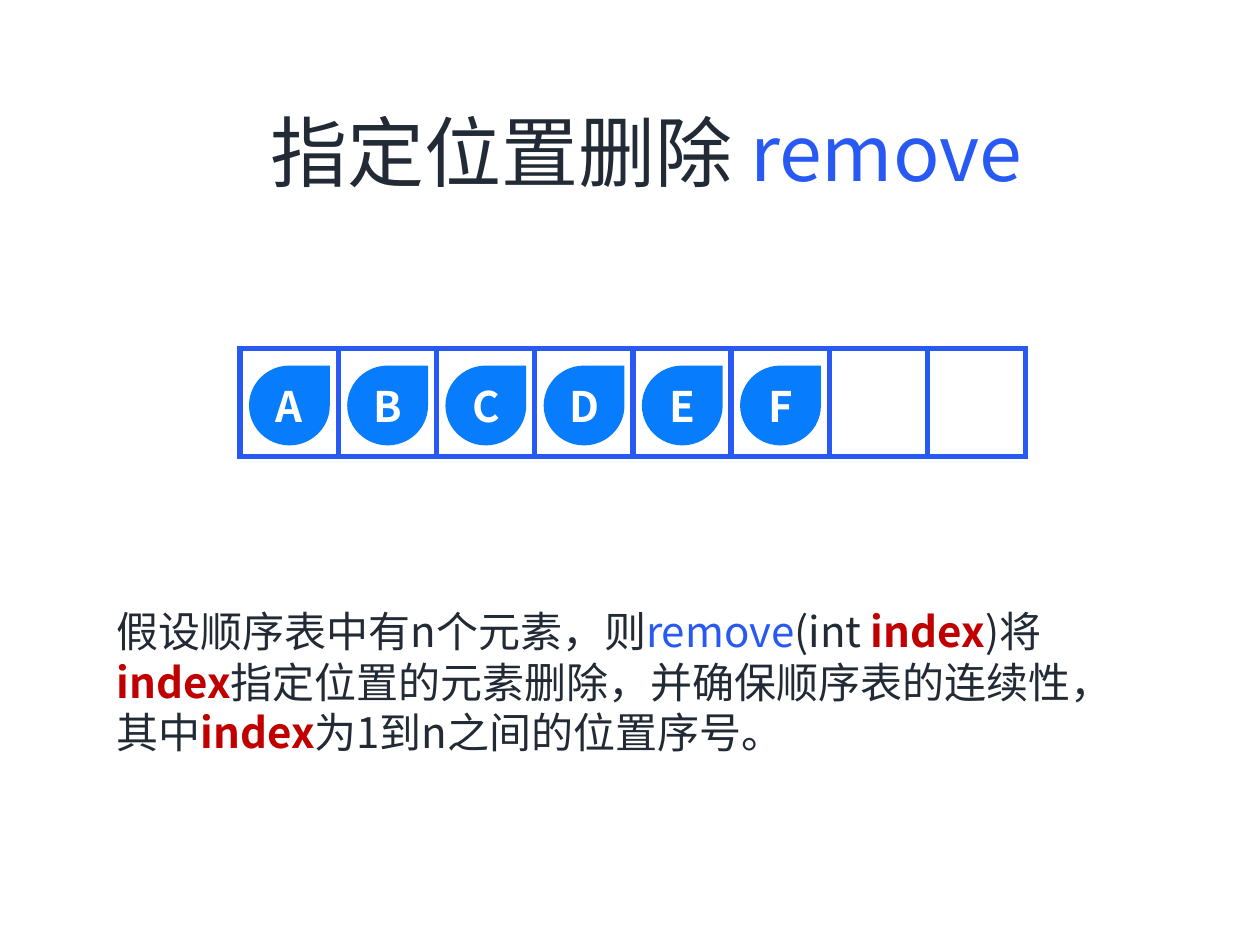
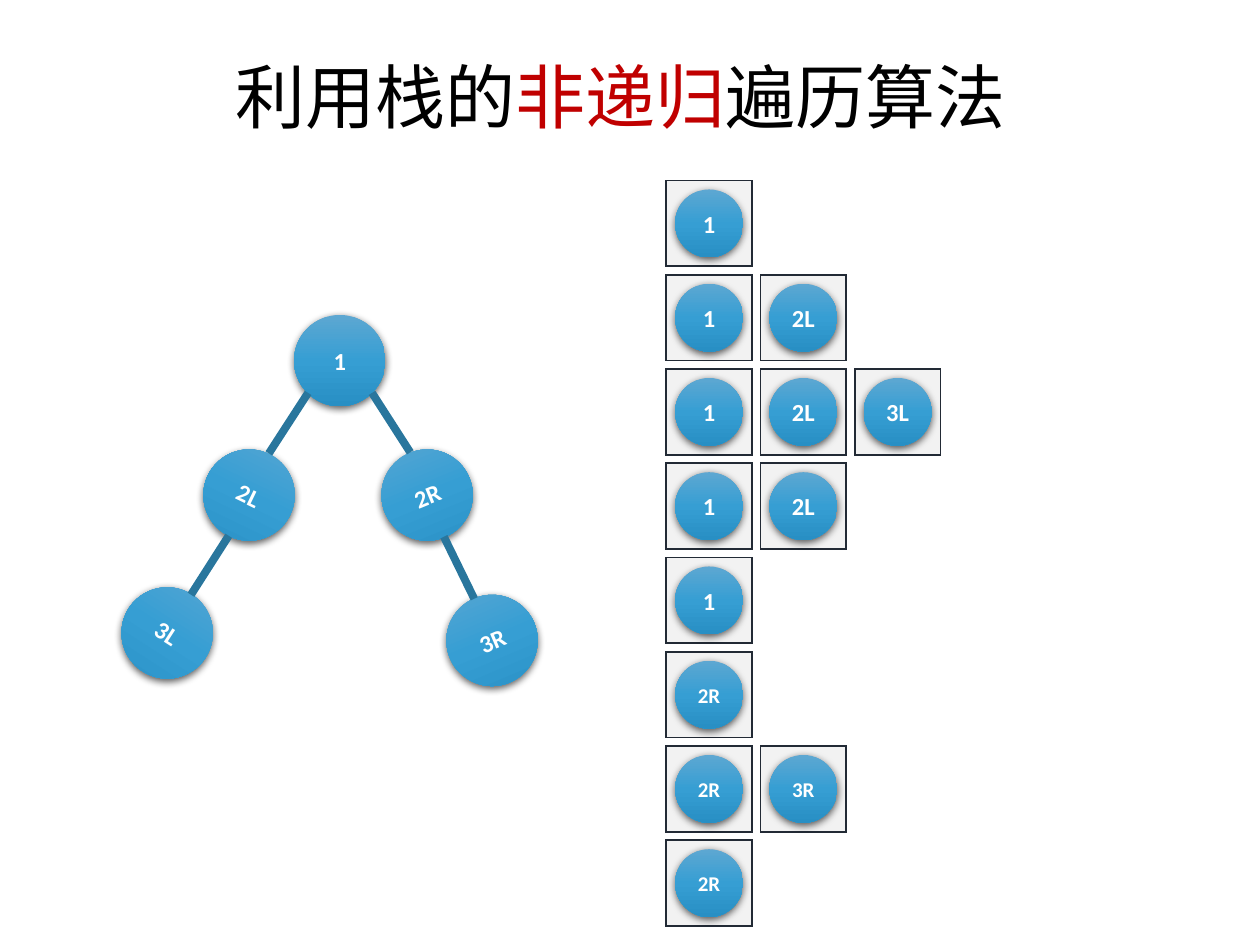
from lxml.etree import SubElement
from pptx import Presentation
from pptx.dml.color import RGBColor
from pptx.enum.shapes import MSO_CONNECTOR, MSO_SHAPE
from pptx.enum.text import MSO_ANCHOR, PP_ALIGN
from pptx.oxml.ns import qn
from pptx.util import Cm, Pt

CJK, LATIN = "Noto Sans CJK JP", "Calibri"
INK, BLUE, RED, WHITE, BLACK = "222A35", "2959F3", "C00000", "FFFFFF", "000000"
DROP, EDGE, CELL = "077CFD", "29769D", "F2F2F2"
BALL_STOPS = ((0, "5DA7D2"), (50, "369ED3"), (100, "288FC4"))


def rgb(value):
    """Turn a hex string into a colour."""
    return RGBColor.from_string(value)


def add_run(p, text, color, size, name=CJK, bold=False):
    """Append a formatted run, using one font for all scripts."""
    r = p.add_run()
    r.text = text
    for key, value in {"size": Pt(size), "name": name, "bold": bold}.items():
        setattr(r.font, key, value)
    r.font.color.rgb = rgb(color)
    SubElement(r._r.get_or_add_rPr(), qn("a:ea")).set("typeface", name)


def add_text(s, box, runs, size, align, spacing=1.0):
    """Add a one-paragraph text box of coloured runs."""
    tf = s.shapes.add_textbox(*map(Cm, box)).text_frame
    tf.word_wrap = True
    p = tf.paragraphs[0]
    p.alignment, p.line_spacing = align, spacing
    for text, color, *bold in runs:
        add_run(p, text, color, size, bold=bool(bold))


def add_box(s, kind, box, fill, line, width):
    """Add a flat preset shape with sharp corners; None leaves out fill or line."""
    sp = s.shapes.add_shape(kind, *map(Cm, box))
    sp.shadow.inherit = False
    for fmt, color in ((sp.fill, fill), (sp.line.fill, line)):
        if color:
            fmt.solid()
            fmt.fore_color.rgb = rgb(color)
        else:
            fmt.background()
    if line:
        sp.line.width = Pt(width)
        SubElement(sp._element.spPr.find(qn("a:ln")), qn("a:miter"), lim="800000")
    return sp


def add_label(sp, text, size, name):
    """Centre a bold white label in a shape."""
    tf = sp.text_frame
    values = {"margin_left": 0, "margin_right": 0, "margin_top": 0, "margin_bottom": 0,
              "word_wrap": False, "vertical_anchor": MSO_ANCHOR.MIDDLE}
    for key, value in values.items():
        setattr(tf, key, value)
    tf.paragraphs[0].alignment = PP_ALIGN.CENTER
    add_run(tf.paragraphs[0], text, WHITE, size, name, True)


def add_ball(s, x, y, d, text, size=14, turn=0):
    """Add a shaded ball with a soft shadow and a label."""
    sp = add_box(s, MSO_SHAPE.OVAL, (x, y, d, d), None, None, 0)
    sp.rotation = turn
    sp.fill.gradient()
    sp.fill.gradient_angle = 270
    spPr = sp._element.spPr
    stops = spPr.find(qn("a:gradFill")).find(qn("a:gsLst"))
    stops.clear()
    for pos, color in BALL_STOPS:
        gs = SubElement(stops, qn("a:gs"), pos=str(pos * 1000))
        SubElement(gs, qn("a:srgbClr"), val=color)
    shadow = SubElement(spPr.find(qn("a:effectLst")), qn("a:outerShdw"),
                        blurRad=str(Pt(4.5)), dist=str(Pt(1.5)), dir="5400000", rotWithShape="0")
    color = SubElement(shadow, qn("a:srgbClr"), val=BLACK)
    SubElement(color, qn("a:alpha"), val="63000")
    add_label(sp, text, size, LATIN)


def add_array(s, x, y, labels, count):
    """Draw a row of cells, the first ones holding labelled drops."""
    w, h = 1.98, 2.18
    for i, label in enumerate(labels):
        sp = add_box(s, MSO_SHAPE.TEAR, (x + i * w + 0.26, y + 0.43, 1.47, 1.45), DROP, DROP, 4.5)
        add_label(sp, label, 24, CJK)
    for i in range(count):
        add_box(s, MSO_SHAPE.RECTANGLE, (x + i * w, y, w, h), None, BLUE, 3)


def add_tree(s, x, y):
    """Draw the binary tree from its top left corner."""
    nodes = (("1", 3.48, 0, 0), ("2L", 1.65, 2.71, 25.8), ("2R", 5.24, 2.71, 337.8),
             ("3L", 0, 5.49, 32.8), ("3R", 6.55, 5.64, 337))
    edges = ((3.76, 1.57, 2.97, 2.79), (5.05, 1.57, 5.82, 2.77),
             (2.16, 4.45, 1.4, 5.64), (6.5, 4.47, 7.11, 5.72))
    for label, dx, dy, turn in nodes:
        add_ball(s, x + dx, y + dy, 1.84, label, turn=turn)
    for x1, y1, x2, y2 in edges:
        ends = (x + x1, y + y1, x + x2, y + y2)
        c = s.shapes.add_connector(MSO_CONNECTOR.STRAIGHT, *map(Cm, ends))
        c.line.color.rgb = rgb(EDGE)
        c.line.width = Pt(4.5)
        SubElement(c._element.spPr, qn("a:effectLst"))


def add_stacks(s, x, y, states):
    """Draw one row of cells for each state of the stack."""
    side, pitch, pad = 1.73, 1.9, 0.18
    for row, state in enumerate(states):
        for col, label in enumerate(state.split()):
            left, top = x + col * pitch, y + row * pitch
            add_box(s, MSO_SHAPE.RECTANGLE, (left, top, side, side), CELL, INK, 1)
            size = 12 if label.endswith("R") else 14
            add_ball(s, left + pad, top + pad, side - 2 * pad, label, size)


def remove_slide(s):
    """Show removal at a given position of a sequential list."""
    title = (("指定位置删除 ", INK), ("remove", BLUE))
    add_text(s, (2.63, 1.98, 20.8, 2.13), title, 44, PP_ALIGN.CENTER)
    add_array(s, 4.84, 7.02, "ABCDEF", 8)
    index = ("index", RED, True)
    body = (("假设顺序表中有n个元素，则", INK), ("remove", BLUE), ("(int ", INK), index,
            (")将", INK), index, ("指定位置的元素删除，并确保顺序表的连续性，其中", INK),
            index, ("为1到n之间的位置序号。", INK))
    add_text(s, (2.1, 12.09, 21.34, 3.33), body, 24, PP_ALIGN.LEFT)


def traversal_slide(s):
    """Show a tree beside the stack states of its traversal."""
    title = (("利用栈的", BLACK), ("非递归", RED), ("遍历算法", BLACK))
    add_text(s, (1.08, 1.14, 22.86, 2.67), title, 40, PP_ALIGN.CENTER, 0.9)
    add_tree(s, 2.45, 6.35)
    add_stacks(s, 13.43, 3.64, ("1", "1 2L", "1 2L 3L", "1 2L", "1", "2R", "2R 3R", "2R"))


def main():
    """Build and save both slides."""
    prs = Presentation()
    prs.slide_width, prs.slide_height = Cm(25.4), Cm(19.05)
    for build in (remove_slide, traversal_slide):
        build(prs.slides.add_slide(prs.slide_layouts[6]))
    prs.save("out.pptx")


if __name__ == "__main__":
    main()
